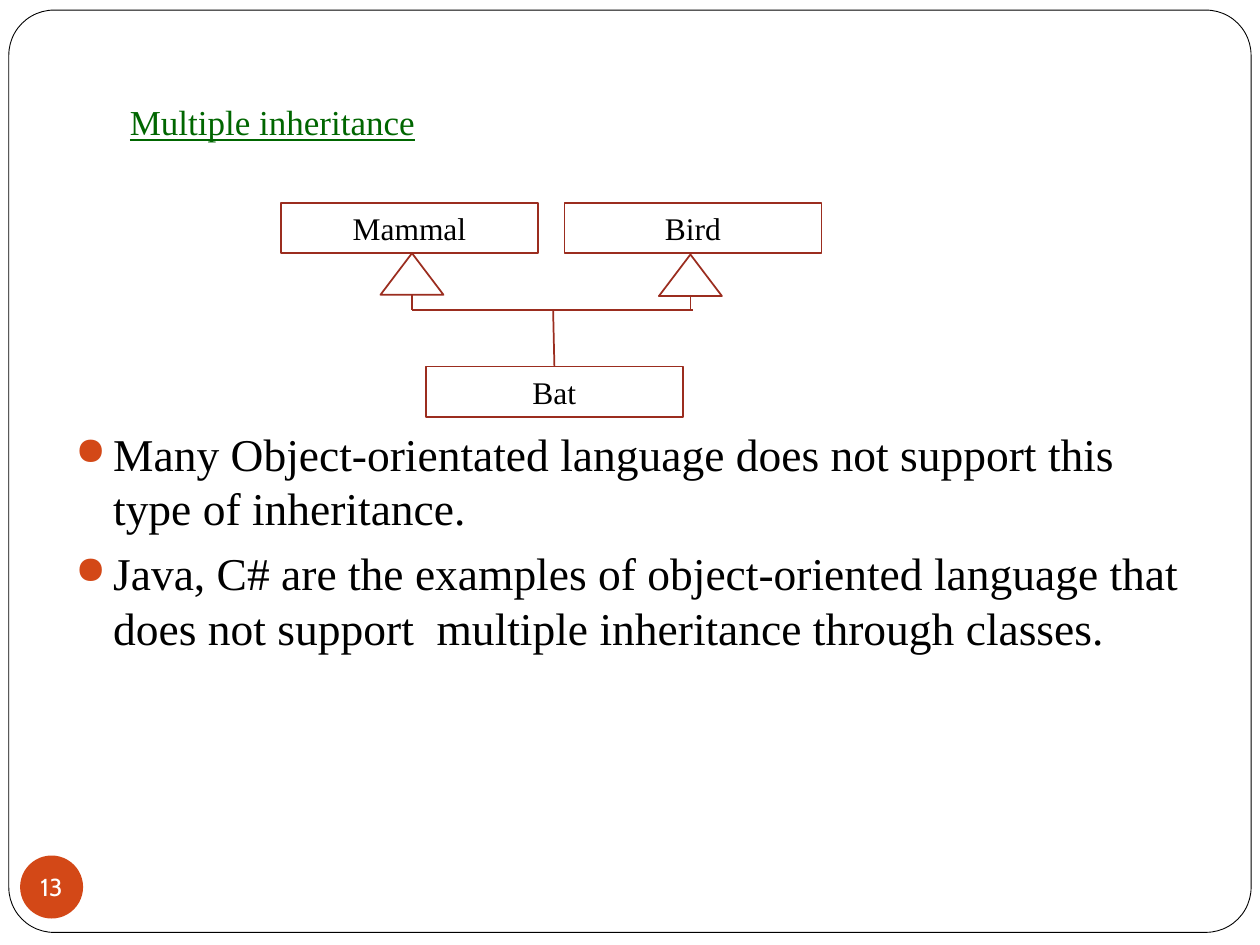
import pptx
import pptx.dml.color
import pptx.enum.shapes
import pptx.enum.text
import pptx.oxml
import pptx.oxml.ns
import pptx.util
from pptx.util import Inches

RGB = pptx.dml.color.RGBColor
SHAPE = pptx.enum.shapes.MSO_SHAPE
ANCHOR = pptx.enum.text.MSO_ANCHOR
ALIGN = pptx.enum.text.PP_ALIGN

BLACK = RGB(0x00, 0x00, 0x00)
WHITE = RGB(0xFF, 0xFF, 0xFF)
ORANGE = RGB(0xD3, 0x48, 0x17)
MAROON = RGB(0x9B, 0x2D, 0x1F)
GREEN = RGB(0x00, 0x66, 0x00)
SERIF = "Times New Roman"


class SlideBuilder:
    """Holds the current slide and the shared drawing style."""

    def __init__(self, slide):
        self.slide = slide

    def add_run(self, paragraph, text, size, color=BLACK, font=SERIF):
        run = paragraph.add_run()
        run.text = text
        run.font.size = pptx.util.Pt(size)
        run.font.name = font
        run.font.color.rgb = color
        return run

    def title(self, text, left, top, width, height):
        title = self.slide.shapes.title
        title.left, title.top = Inches(left), Inches(top)
        title.width, title.height = Inches(width), Inches(height)
        frame = title.text_frame
        frame.word_wrap = False
        frame.auto_size = pptx.enum.text.MSO_AUTO_SIZE.NONE
        frame.vertical_anchor = ANCHOR.TOP
        frame.paragraphs[0].alignment = ALIGN.LEFT
        self.add_run(frame.paragraphs[0], text, 20, GREEN).font.underline = True
        # Bring the title in front of the page frame
        self.slide.shapes._spTree.append(title._element)

    def shape(self, kind, left, top, width, height,
              fill=None, line=MAROON, weight=1):
        shape = self.slide.shapes.add_shape(
            kind, Inches(left), Inches(top), Inches(width), Inches(height))
        shape.shadow.inherit = False
        if fill is None:
            shape.fill.background()
        else:
            shape.fill.solid()
            shape.fill.fore_color.rgb = fill
        if line is None:
            shape.line.fill.background()
        else:
            shape.line.color.rgb = line
            shape.line.width = pptx.util.Pt(weight)
        return shape

    def class_box(self, name, left, top):
        box = self.shape(SHAPE.RECTANGLE, left, top, 2.04, 0.4, WHITE)
        frame = box.text_frame
        frame.word_wrap = True
        frame.vertical_anchor = ANCHOR.TOP
        frame.paragraphs[0].alignment = ALIGN.CENTER
        self.add_run(frame.paragraphs[0], name, 18)
        return box

    def page_number(self, text, left, top, size):
        badge = self.shape(SHAPE.OVAL, left, top, size, size, ORANGE, None)
        frame = badge.text_frame
        frame.margin_left = frame.margin_right = 0
        frame.margin_top = frame.margin_bottom = 0
        frame.word_wrap = False
        frame.vertical_anchor = ANCHOR.MIDDLE
        frame.paragraphs[0].alignment = ALIGN.CENTER
        self.add_run(frame.paragraphs[0], text, 14, WHITE, "Cabin")

    def line(self, x1, y1, x2, y2):
        line = self.slide.shapes.add_connector(
            pptx.enum.shapes.MSO_CONNECTOR.STRAIGHT,
            Inches(x1), Inches(y1), Inches(x2), Inches(y2))
        line.line.color.rgb = MAROON
        line.line.width = pptx.util.Pt(1)
        line._element.spPr.append(pptx.oxml.parse_xml(
            f"<a:effectLst {pptx.oxml.ns.nsdecls('a')}/>"))
        return line

    def bullets(self, items, left, top, width, height):
        box = self.slide.shapes.add_textbox(
            Inches(left), Inches(top), Inches(width), Inches(height))
        frame = box.text_frame
        frame.word_wrap = True
        ns = pptx.oxml.ns.nsdecls("a")
        for index, text in enumerate(items):
            paragraph = frame.add_paragraph() if index else frame.paragraphs[0]
            paragraph.space_before = pptx.util.Pt(5.8)
            props = paragraph._p.get_or_add_pPr()
            props.set("marL", str(Inches(0.3)))
            props.set("indent", str(Inches(-0.3)))
            for xml in (
                f'<a:buClr {ns}><a:srgbClr val="{ORANGE}"/></a:buClr>',
                f'<a:buSzPct {ns} val="85000"/>',
                f'<a:buChar {ns} char="●"/>',
            ):
                props.append(pptx.oxml.parse_xml(xml))
            self.add_run(paragraph, text, 26)


def main():
    deck = pptx.Presentation()
    deck.slide_width, deck.slide_height = Inches(10), Inches(7.5)
    page = SlideBuilder(deck.slides.add_slide(deck.slide_layouts[5]))

    # Page frame and number
    border = page.shape(SHAPE.ROUNDED_RECTANGLE, 0.07, 0.08, 9.86, 7.32,
                        WHITE, BLACK, 0.5)
    border.adjustments[0] = 0.049
    page.page_number("13", 0.16, 6.79, 0.5)

    # Explanation
    page.bullets([
        "Many Object-orientated language does not support this type of "
        "inheritance.",
        "Java, C# are the examples of object-oriented language that does not "
        "support  multiple inheritance through classes.",
    ], 0.5, 3.33, 9, 3.62)

    # Classes
    page.class_box("Mammal", 2.23, 1.61)
    page.class_box("Bird", 4.48, 1.61)
    bat = page.class_box("Bat", 3.38, 2.91)

    # Inheritance arrows, joined by a common bar
    bar_y = 2.46
    for parent_x, tip_y in ((3.27, 2.01), (5.48, 2.02)):
        page.shape(SHAPE.ISOSCELES_TRIANGLE, parent_x - 0.25, tip_y, 0.5, 0.33)
        page.line(parent_x, 2.34, parent_x, bar_y)
    page.line(3.27, bar_y, 5.5, bar_y)
    bat_stem = page.line(4.39, bar_y, 4.4, 2.91)
    bat_stem.end_connect(bat, 0)

    page.title("Multiple inheritance", 0.93, 0.75, 2.62, 0.44)
    deck.save("out.pptx")


if __name__ == "__main__":
    main()
